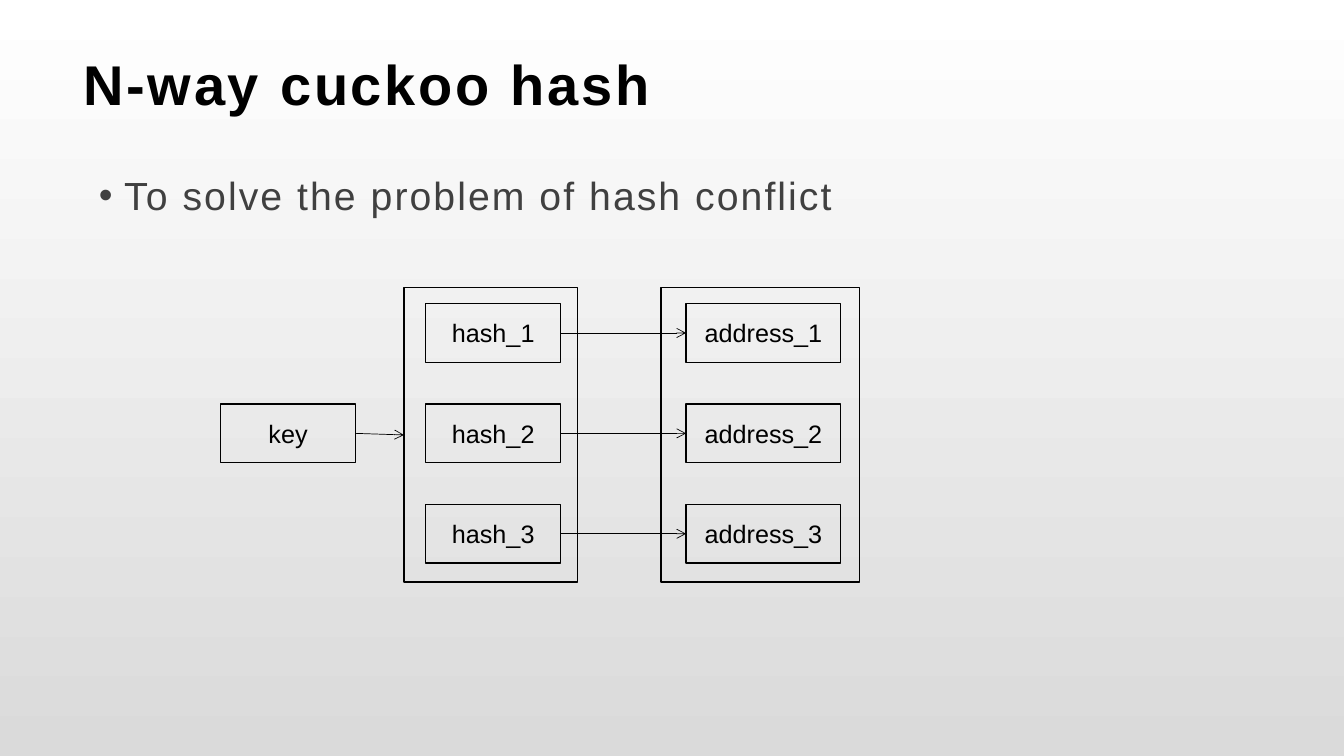
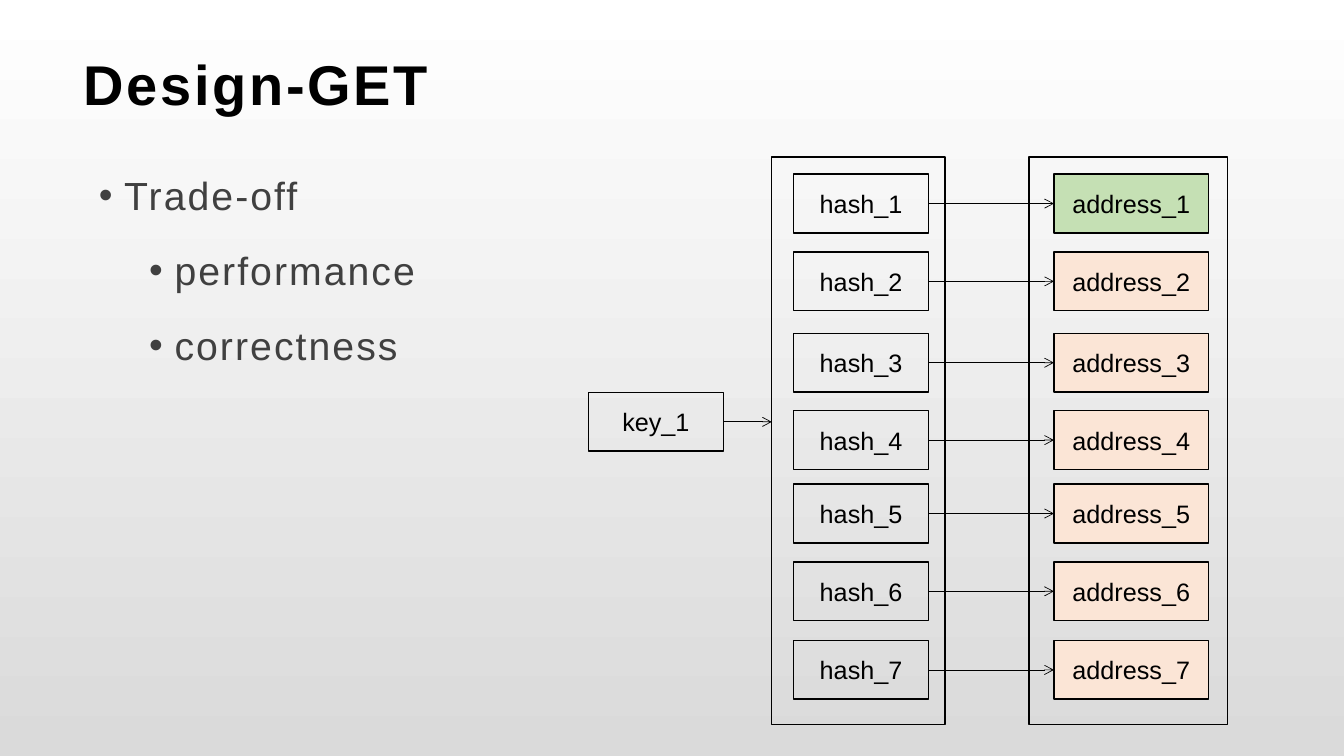
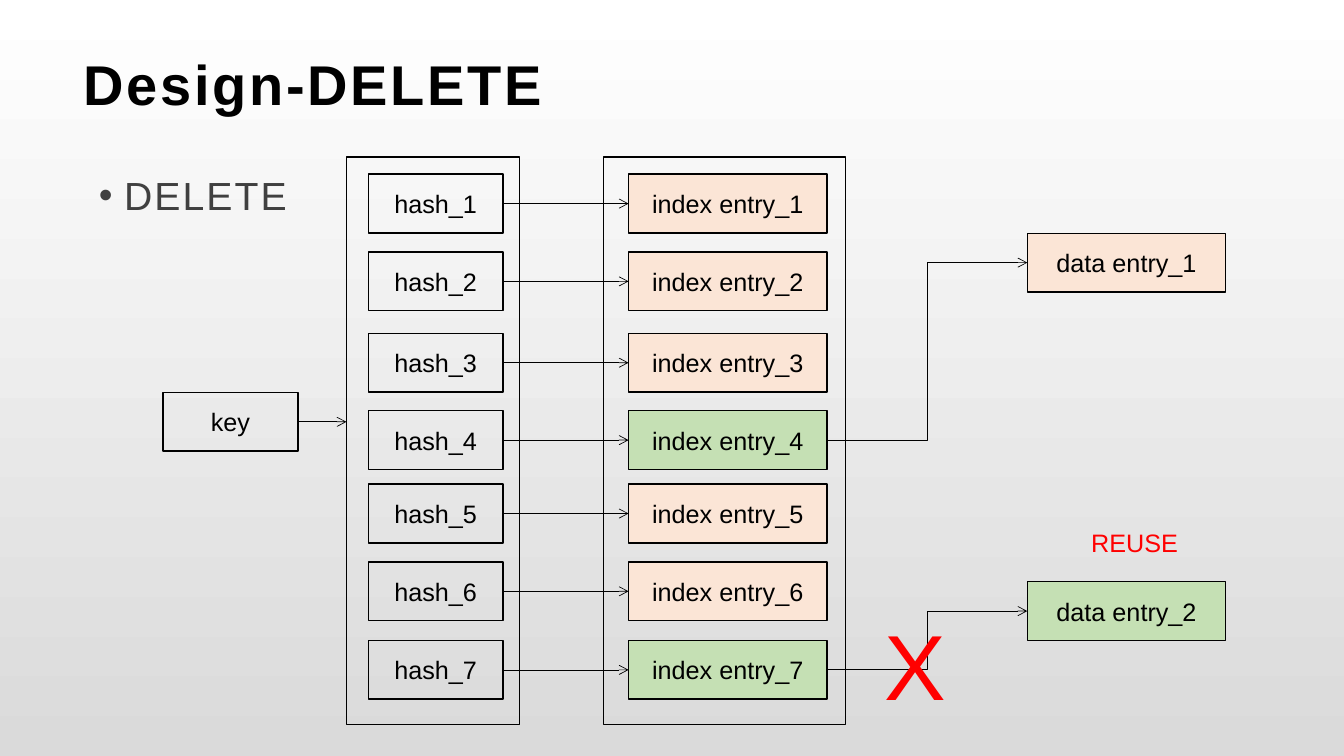
"""Build three slides on n-way cuckoo hashing and its operations."""
from dataclasses import dataclass

from lxml import etree
from pptx import Presentation
from pptx.dml.color import RGBColor
from pptx.enum.shapes import MSO_CONNECTOR, MSO_SHAPE
from pptx.enum.text import MSO_ANCHOR, PP_ALIGN
from pptx.oxml.ns import qn
from pptx.util import Cm, Pt

RECTANGLE = MSO_SHAPE.RECTANGLE
STRAIGHT, ELBOW = MSO_CONNECTOR.STRAIGHT, MSO_CONNECTOR.ELBOW
CENTER = PP_ALIGN.CENTER
TOP, MIDDLE = MSO_ANCHOR.TOP, MSO_ANCHOR.MIDDLE
LEFT_SIDE, RIGHT_SIDE = 1, 3


@dataclass(frozen=True)
class Theme:
    font: str = "Arial"
    ink: str = "000000"
    body: str = "404040"
    alert: str = "FF0000"
    hit: str = "C5E0B4"
    miss: str = "FBE5D6"
    sky: str = "FFFFFF"
    ground: str = "DADADA"
    title_size: float = 40
    body_size: float = 28
    label_size: float = 18
    cross_size: float = 66
    border: float = 1
    wire: float = 0.5


BOX_HEIGHT = 1.48
HASH_WIDTH = 3.4
PADDING = 0.55
KEY_OFFSET = -4.62
TARGET_OFFSET = 6.48
SHORT_ROWS = [7.65 + 2.53 * row for row in range(3)]
LONG_ROWS = [4.39, 6.35, 8.4, 10.35, 12.2, 14.16, 16.14]
SHORT_FRAME = (7.25, 7.42)
LONG_FRAME = (3.96, 14.3)


class Deck:
    def __init__(self, theme):
        self.theme = theme
        self.presentation = Presentation()
        self.presentation.slide_width = Cm(33.87)
        self.presentation.slide_height = Cm(19.05)
        self.slide = None

    def new_slide(self, title, points):
        theme = self.theme
        self.slide = self.presentation.slides.add_slide(self.presentation.slide_layouts[6])
        backdrop = self.slide.background.fill
        backdrop.gradient()
        backdrop.gradient_angle = 270
        for stop, color in zip(backdrop.gradient_stops, (theme.sky, theme.ground)):
            stop.color.rgb = RGBColor.from_string(color)
        heading = self.text(title, (1.85, 1.19, 30.15, 1.8), theme.title_size, theme.ink, MIDDLE)
        heading.font.bold = True
        self.track(heading, 2)
        self.bullets(points)

    def style(self, paragraph, size, color):
        paragraph.font.name = self.theme.font
        paragraph.font.size = Pt(size)
        paragraph.font.color.rgb = RGBColor.from_string(color)

    def track(self, paragraph, points):
        defaults = paragraph._p.get_or_add_pPr().find(qn("a:defRPr"))
        defaults.set("spc", str(int(points * 100)))
        return defaults

    def text(self, words, place, size, color, anchor=TOP):
        frame = self.slide.shapes.add_textbox(*map(Cm, place)).text_frame
        frame.word_wrap = True
        frame.vertical_anchor = anchor
        paragraph = frame.paragraphs[0]
        paragraph.text = words
        self.style(paragraph, size, color)
        return paragraph

    def bullets(self, points):
        frame = self.slide.shapes.add_textbox(Cm(2.21), Cm(3.96), Cm(30.15), Cm(14)).text_frame
        frame.word_wrap = True
        frame.margin_left = Cm(0.28)
        frame.margin_top = frame.margin_bottom = 0
        for index, (level, words) in enumerate(points):
            point = frame.add_paragraph() if index else frame.paragraphs[0]
            point.text = words
            point.level = level
            point.line_spacing = 1.3
            point.space_after = Pt(10)
            self.style(point, self.theme.body_size, self.theme.body)
            properties = point._p.get_or_add_pPr()
            properties.set("marL", str(Cm(0.64 + 1.27 * level)))
            properties.set("indent", str(-Cm(0.64)))
            defaults = self.track(point, 1.5)
            for tag, key, value in (("a:buFont", "typeface", self.theme.font),
                                    ("a:buChar", "char", "•")):
                mark = etree.Element(qn(tag))
                mark.set(key, value)
                defaults.addprevious(mark)

    def box(self, left, top, width, height=BOX_HEIGHT, label="", fill=None):
        shape = self.slide.shapes.add_shape(RECTANGLE, Cm(left), Cm(top), Cm(width), Cm(height))
        shape.shadow.inherit = False
        if fill:
            shape.fill.solid()
            shape.fill.fore_color.rgb = RGBColor.from_string(fill)
        else:
            shape.fill.background()
        shape.line.color.rgb = RGBColor.from_string(self.theme.ink)
        shape.line.width = Pt(self.theme.border)
        if label:
            shape.text_frame.vertical_anchor = MIDDLE
            paragraph = shape.text_frame.paragraphs[0]
            paragraph.text = label
            paragraph.alignment = CENTER
            self.style(paragraph, self.theme.label_size, self.theme.ink)
        return shape

    def arrow(self, source, target, kind=STRAIGHT, joined=True):
        start_y = source.top + source.height // 2
        end_y = target.top + target.height // 2 if joined else start_y
        connector = self.slide.shapes.add_connector(
            kind, source.left + source.width, start_y, target.left, end_y)
        connector.begin_connect(source, RIGHT_SIDE)
        if joined:
            connector.end_connect(target, LEFT_SIDE)
        connector.line.color.rgb = RGBColor.from_string(self.theme.ink)
        connector.line.width = Pt(self.theme.wire)
        properties = connector.element.spPr
        etree.SubElement(properties.find(qn("a:ln")), qn("a:tailEnd")).set("type", "arrow")
        etree.SubElement(properties, qn("a:effectLst"))

    def hash_map(self, left, rows, frame, key, key_top, target, target_width, fills, joined=False):
        top, height = frame
        hashes = self.box(left, top, HASH_WIDTH + 0.97, height)
        self.box(left + TARGET_OFFSET, top, target_width + 1.1, height)
        key_box = self.box(left + KEY_OFFSET, key_top, HASH_WIDTH, label=key)
        self.arrow(key_box, hashes, joined=joined)
        entries = []
        for number, (row, fill) in enumerate(zip(rows, fills), 1):
            function = self.box(left + PADDING, row, HASH_WIDTH, label=f"hash_{number}")
            entry = self.box(left + TARGET_OFFSET + 0.63, row, target_width,
                             label=f"{target}_{number}", fill=fill)
            self.arrow(function, entry)
            entries.append(entry)
        return entries


def main():
    theme = Theme()
    hit, miss = theme.hit, theme.miss
    deck = Deck(theme)

    deck.new_slide("N-way cuckoo hash", [(0, "To solve the problem of hash conflict")])
    deck.hash_map(10.18, SHORT_ROWS, SHORT_FRAME, "key", SHORT_ROWS[1],
                  "address", 3.9, [None] * 3, joined=True)

    deck.new_slide("Design-GET", [(0, "Trade-off"), (1, "performance"), (1, "correctness")])
    deck.hash_map(19.45, LONG_ROWS, LONG_FRAME, "key_1", 9.89,
                  "address", 3.9, [hit] + [miss] * 6)

    deck.new_slide("Design-DELETE", [(0, "DELETE")])
    entries = deck.hash_map(8.73, LONG_ROWS, LONG_FRAME, "key", 9.89, "index entry", 5,
                            [miss] * 3 + [hit] + [miss] * 2 + [hit])
    records = ((1, 5.88, miss, entries[3]), (2, 14.66, hit, entries[6]))
    for number, top, fill, entry in records:
        record = deck.box(25.89, top, 5, label=f"data entry_{number}", fill=fill)
        deck.arrow(entry, record, ELBOW)
    deck.text("X", (22.05, 15.19, 5.21, 3.07), theme.cross_size, theme.alert)
    deck.text("REUSE", (27.25, 13.16, 4.19, 1.02), theme.label_size, theme.alert)

    deck.presentation.save("out.pptx")


if __name__ == "__main__":
    main()
